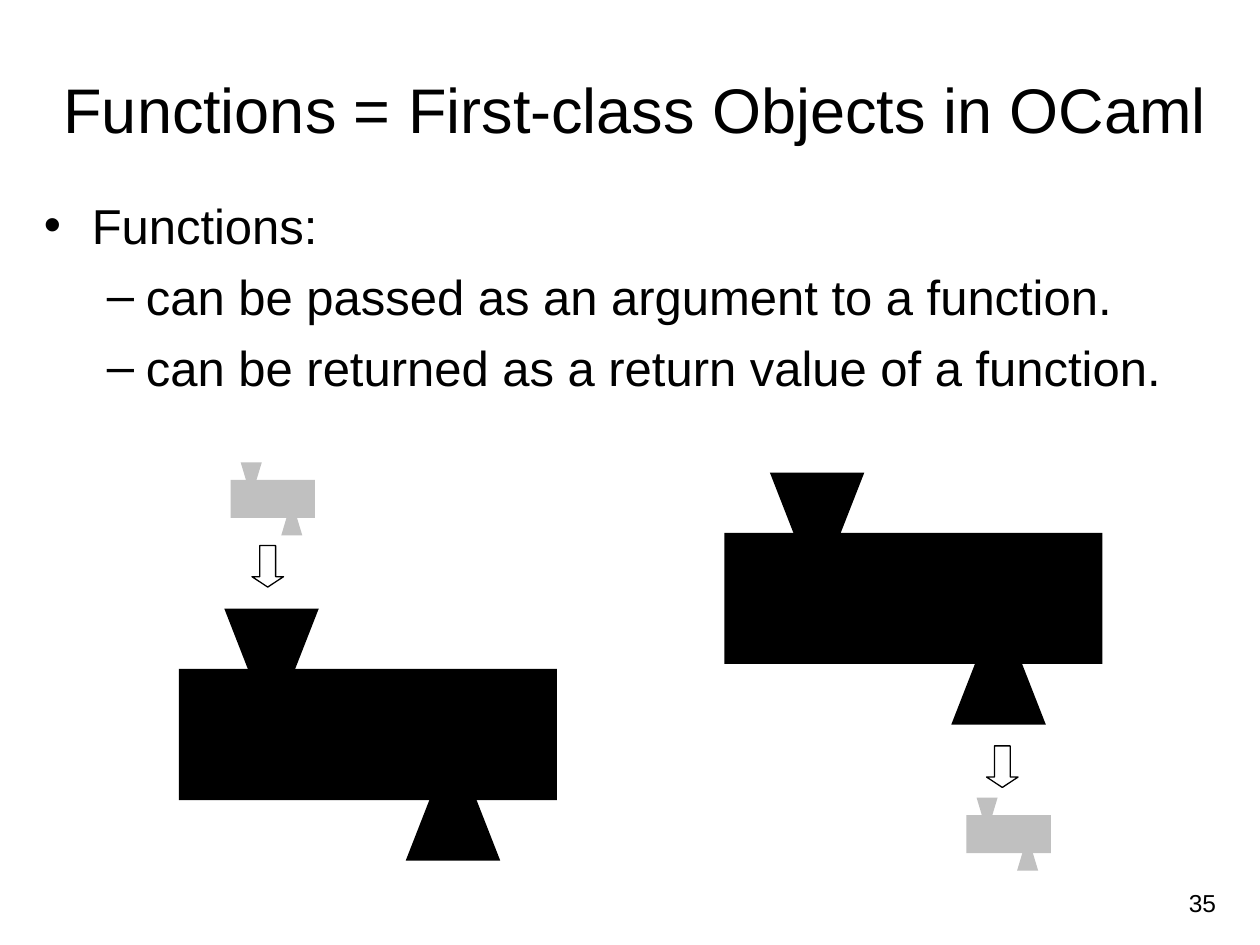
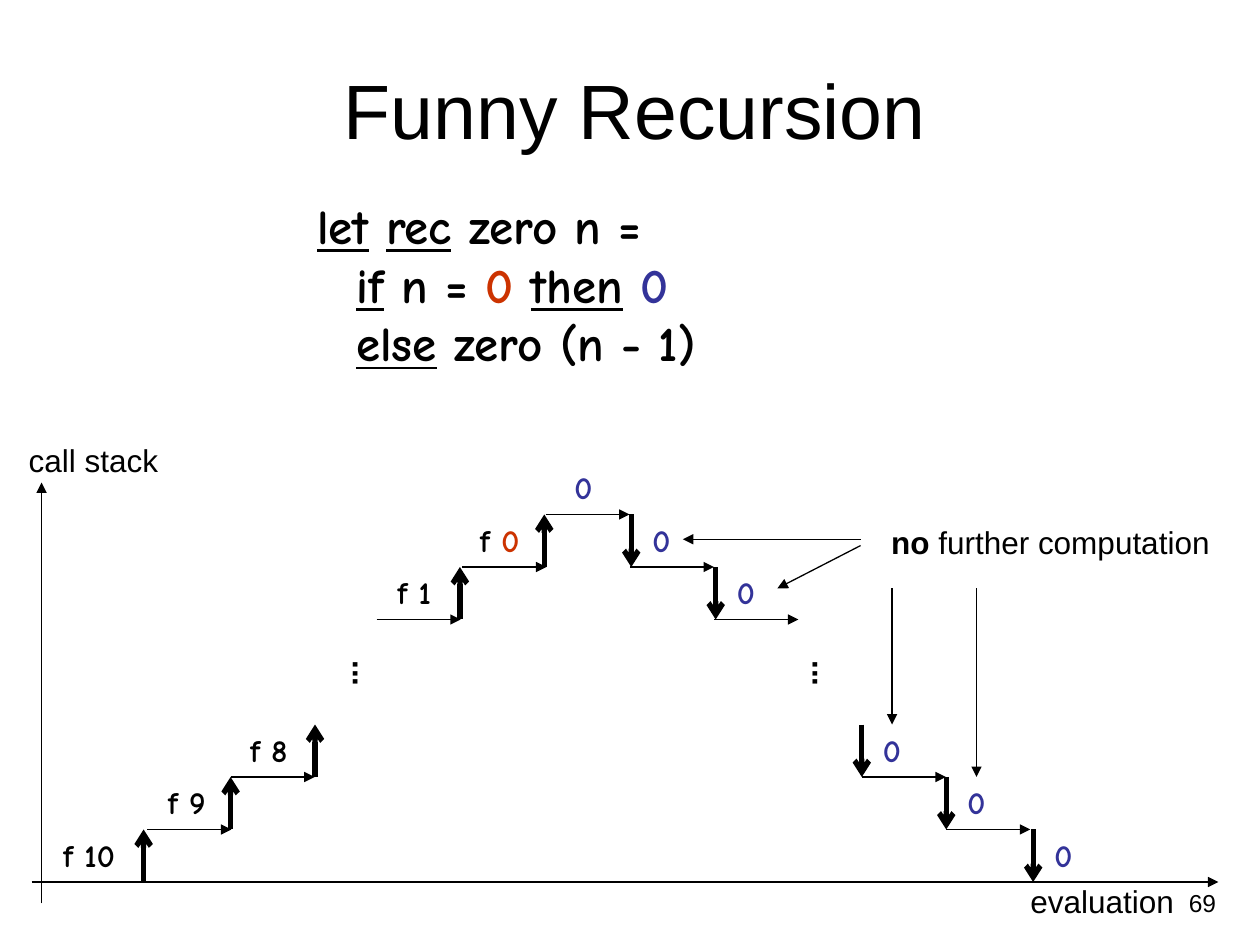
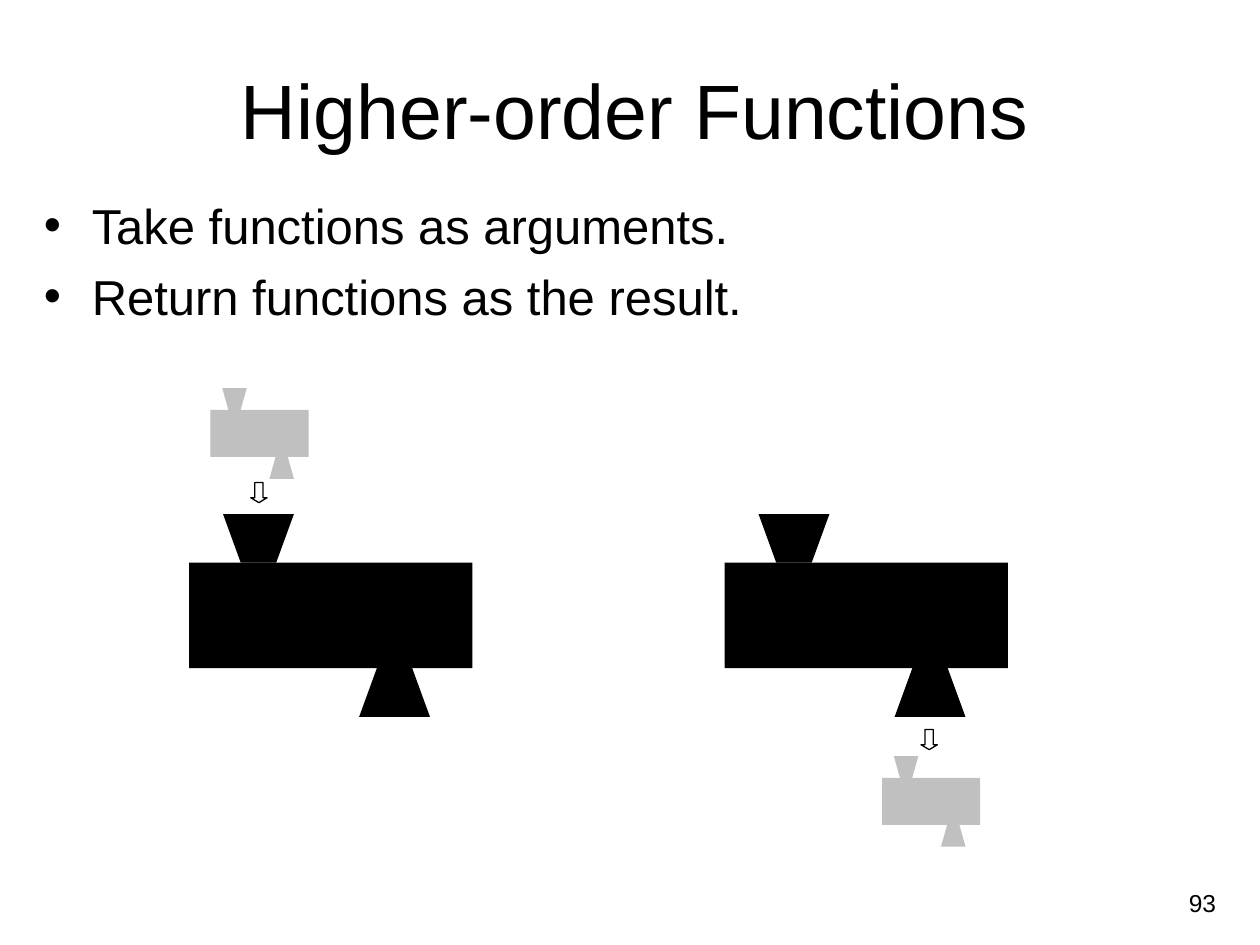
"""Build three slides on functions as values and on recursion."""
import pptx
import pptx.dml.color
import pptx.enum.shapes
import pptx.enum.text
import pptx.oxml.ns
import pptx.util
from lxml import etree

Inches = pptx.util.Inches
Pt = pptx.util.Pt
RGBColor = pptx.dml.color.RGBColor
Align = pptx.enum.text.PP_ALIGN
Anchor = pptx.enum.text.MSO_ANCHOR
Shape = pptx.enum.shapes.MSO_SHAPE
qn = pptx.oxml.ns.qn

BLACK = RGBColor(0x00, 0x00, 0x00)
GREY = RGBColor(0xC0, 0xC0, 0xC0)
RED = RGBColor(0xCC, 0x33, 0x00)
BLUE = RGBColor(0x33, 0x33, 0x99)
SANS = "Arial"
COMIC = "Comic Neue"
MARKS = [("•", 0.38, -0.38), ("–", 0.81, -0.31)]
BODY = (0.25, 1.5, 9.58, 5.42)
FLOOR = 7
RISE = 5 / 12
TREAD = 2 / 3
LABEL = 0.8


def text(slide, box, *paras, size=18, font=SANS, color=BLACK, bold=False,
         align=Align.LEFT, anchor=Anchor.TOP, wrap=False, vert=None):
    """Add a text box; each paragraph is a string or a list of (words, changes)."""
    frame = slide.shapes.add_textbox(*map(Inches, box)).text_frame
    frame.word_wrap = wrap
    frame.vertical_anchor = anchor
    if vert:
        frame._txBody.bodyPr.set("vert", vert)
        frame.margin_left = frame.margin_right = Inches(0.05)
        frame.margin_top = frame.margin_bottom = Inches(0.1)
    for i, para in enumerate(paras):
        p = frame.paragraphs[0] if i == 0 else frame.add_paragraph()
        p.alignment = align
        for words, change in [(para, {})] if isinstance(para, str) else para:
            if words == "\n":
                p.add_line_break()
                continue
            run = p.add_run()
            run.text = words
            run.font.name = font
            run.font.size = Pt(size)
            run.font.bold = change.get("bold", bold)
            run.font.underline = change.get("under", False)
            run.font.color.rgb = change.get("color", color)
    return frame


def indent(p, left, first):
    """Set the left margin and first-line indent of a paragraph."""
    props = p._p.get_or_add_pPr()
    props.set("marL", str(Inches(left)))
    props.set("indent", str(Inches(first)))
    return props


def points(slide, *items):
    """Add the body list; each item is (level, words)."""
    frame = text(slide, BODY, *[words for _, words in items], size=28, wrap=True)
    for i, (p, (level, _)) in enumerate(zip(frame.paragraphs, items)):
        mark, left, first = MARKS[level]
        p.level = level
        if i:
            p.space_before = Pt(7)
        props = indent(p, left, first)
        etree.SubElement(props, qn("a:buFont")).set("typeface", SANS)
        etree.SubElement(props, qn("a:buChar")).set("char", mark)


def page(deck, title, number, size=44):
    """Add a blank slide with its title and page number."""
    slide = deck.slides.add_slide(deck.slide_layouts[6])
    text(slide, (0.25, 0.3, 9.58, 1.12), title, size=size,
         align=Align.CENTER, anchor=Anchor.MIDDLE, wrap=True)
    text(slide, (7.42, 7, 2.33, 0.35), str(number), size=14,
         align=Align.RIGHT, wrap=True)
    return slide


def paint(shape, color):
    """Give a shape a flat fill with no outline or shadow."""
    shape.shadow.inherit = False
    shape.fill.solid()
    shape.fill.fore_color.rgb = color
    shape.line.fill.background()


def funnel(slide, left, wide, narrow, width, color):
    """Draw a funnel between its wide and narrow edges."""
    corners = [(left, wide), (left + width, wide),
               (left + width * 0.75, narrow), (left + width * 0.25, narrow)]
    spots = [(Inches(x), Inches(y)) for x, y in corners]
    maker = slide.shapes.build_freeform(*spots[0])
    maker.add_line_segments(spots[1:], close=True)
    paint(maker.convert_to_shape(), color)


def machine(slide, left, top, width, height, color=BLACK):
    """Draw a function as a box with a funnel in and a funnel out."""
    lip = height * 0.24
    base = top + height
    box = (left, top + lip, width, height - 2 * lip)
    paint(slide.shapes.add_shape(Shape.RECTANGLE, *map(Inches, box)), color)
    funnel(slide, left + width * 0.12, top, top + lip, width * 0.25, color)
    funnel(slide, left + width * 0.6, base, base - lip, width * 0.25, color)


def drop(slide, left, top, width, height, tip):
    """Draw an outlined block arrow that points down."""
    box = map(Inches, (left, top, width, height))
    arrow = slide.shapes.add_shape(Shape.DOWN_ARROW, *box)
    arrow.adjustments[1] = tip
    arrow.shadow.inherit = False
    arrow.fill.background()
    arrow.line.color.rgb = BLACK
    arrow.line.width = Pt(0.75)


def arrow(slide, start, end, width=0.75, tip="triangle"):
    """Draw a straight arrow from start to end."""
    kind = pptx.enum.shapes.MSO_CONNECTOR.STRAIGHT
    line = slide.shapes.add_connector(kind, *map(Inches, (*start, *end)))
    line.line.color.rgb = BLACK
    line.line.width = Pt(width)
    etree.SubElement(line.line._get_or_add_ln(), qn("a:tailEnd")).set("type", tip)
    etree.SubElement(line._element.spPr, qn("a:effectLst"))


def level(step):
    """Return the height on the slide of a call-stack step."""
    return FLOOR - step * RISE


def zero(slide, left, step):
    """Label a step with the returned zero."""
    text(slide, (left, level(step), 0.34, 0.4), "0",
         font=COMIC, color=BLUE, bold=True)


def code(slide):
    """Write the recursive function."""
    under = {"under": True}
    frame = text(slide, (1.92, 1.5, 4.75, 1.58), [
        ("let", under), (" ", {}), ("rec", under), (" zero n =", {}), ("\n", {}),
        ("if", under), (" n = ", {}), ("0 ", {"color": RED}), ("then", under),
        (" ", {}), ("0", {"color": BLUE}), ("\n", {}),
        ("else", under), (" zero (n - 1)", {}),
    ], size=28, font=COMIC, bold=True, wrap=True)
    indent(frame.paragraphs[0], 0.81, -0.31)


def stairs(slide):
    """Draw the calls going up and the returns coming down."""
    calls = [(1.14, 0, 1.01, "f 10"), (1.83, 1, 1.73, "f 9"),
             (2.5, 2, 2.38, "f 8"), (3.65, 5, 3.52, "f 1"),
             (4.32, 6, 4.22, [("f ", {}), ("0", {"color": RED})])]
    for x, step, right, words in calls:
        arrow(slide, (x, level(step)), (x, level(step + 1)), 3, "arrow")
        text(slide, (right - LABEL, level(step + 1), LABEL, 0.4), words,
             font=COMIC, bold=True, align=Align.RIGHT, wrap=True)
    for x, step in [(5.01, 6), (5.68, 5), (6.84, 2), (7.51, 1), (8.2, 0)]:
        arrow(slide, (x, level(step + 1)), (x, level(step)), 3, "arrow")
        zero(slide, x + 0.07, step + 1)
    zero(slide, 4.46, 8)
    treads = [(1.17, 1), (1.83, 2), (2.99, 5), (3.67, 6), (4.33, 7),
              (5, 6), (5.67, 5), (6.84, 2), (7.51, 1)]
    for x, step in treads:
        arrow(slide, (x, level(step)), (x + TREAD, level(step)))
    for x in (2.6, 6.25):
        text(slide, (x, 5.14, 0.5, 0.31), "...", bold=True,
             align=Align.RIGHT, vert="eaVert")


def chart(slide):
    """Draw the axes and the remark around the stairs."""
    arrow(slide, (0.25, FLOOR), (9.67, FLOOR))
    arrow(slide, (0.33, 7.17), (0.33, 3.83))
    text(slide, (0.13, 3.45, 1.23, 0.4), "call stack")
    text(slide, (8.08, 6.95, 1.34, 0.4), "evaluation")
    stairs(slide)
    text(slide, (6.97, 4.1, 2.73, 0.4),
         [("no", {"bold": True}), (" further computation", {})], align=Align.RIGHT)
    arrow(slide, (6.83, 4.28), (5.42, 4.28))
    arrow(slide, (6.83, 4.33), (6.17, 4.67))
    arrow(slide, (7.08, 4.67), (7.08, level(3)))
    arrow(slide, (7.75, 4.67), (7.75, level(2)))


def main():
    """Build the deck and save it."""
    deck = pptx.Presentation()
    deck.slide_width, deck.slide_height = Inches(10), Inches(7.5)

    slide = page(deck, "Functions = First-class Objects in OCaml", 35, size=36)
    points(slide, (0, "Functions:"),
           (1, "can be passed as an argument to a function."),
           (1, "can be returned as a return value of a function."))
    for left, top in [(1.42, 4.83), (5.75, 3.75)]:
        machine(slide, left, top, 3, 2)
    for left, top in [(1.83, 3.67), (7.67, 6.33)]:
        machine(slide, left, top, 0.67, 0.58, GREY)
    for left, top in [(2, 4.33), (7.83, 5.92)]:
        drop(slide, left, top, 0.25, 0.33, 0.33)

    slide = page(deck, "Funny Recursion", 69)
    code(slide)
    chart(slide)

    slide = page(deck, "Higher-order Functions", 93)
    points(slide, (0, "Take functions as arguments."),
           (0, "Return functions as the result."))
    for left in (1.5, 5.75):
        machine(slide, left, 4.08, 2.25, 1.61)
    for left, top in [(1.67, 3.08), (7, 6)]:
        machine(slide, left, top, 0.78, 0.72, GREY)
    for left, top in [(1.99, 3.83), (7.31, 5.79)]:
        drop(slide, left, top, 0.13, 0.16, 0.3)

    deck.save("out.pptx")


if __name__ == "__main__":
    main()
